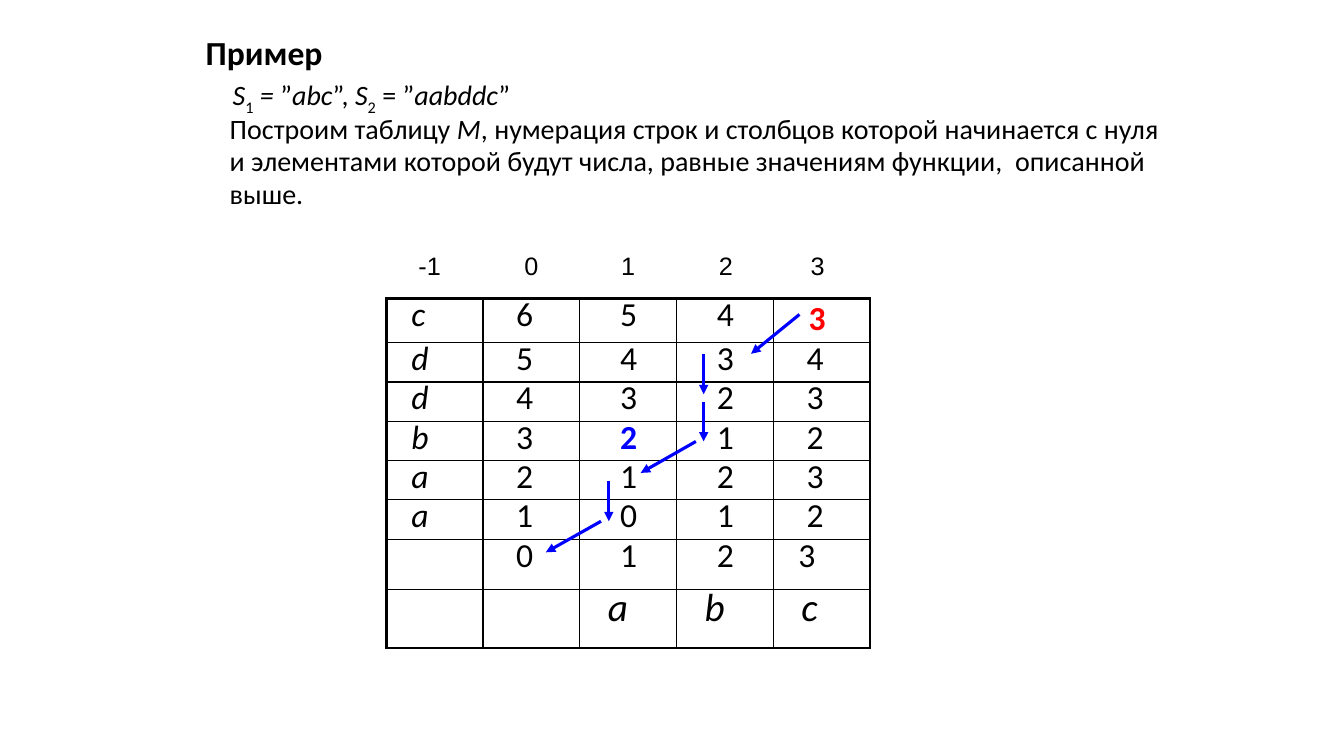
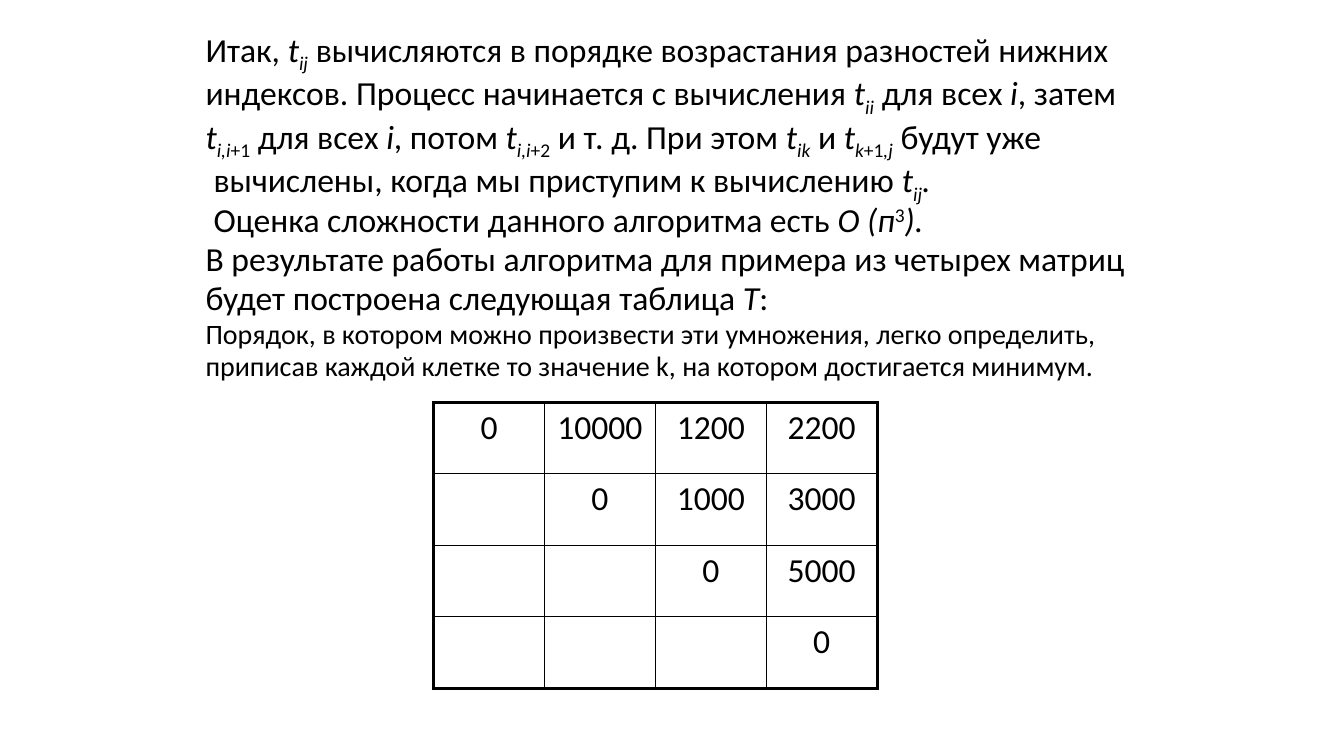
import pptx
import pptx.util
import pptx.dml.color
import pptx.enum.shapes
import pptx.enum.text
import pptx.oxml.ns
from lxml import etree

# Shared style
FONT, BLACK, BLUE, RED = "Calibri", "000000", "0000FF", "FF0000"
THICK, THIN = 2.25, 1
LEFT, WIDE = 1.94, 9.45
INCH, PT = pptx.util.Inches, pptx.util.Pt
ALIGN = pptx.enum.text.PP_ALIGN

# Grid of the distance table
GRID_X, GRID_Y, COL, ROW = 3.83, 2.96, 0.96, 0.39
INSETS = [0.25, 0.33, 0.4, 0.4, 0.33]

INTRO = [
    "*S*_1_* = *”*abc*”, *S*_2_ = ”*aabddc*”",
    "Построим таблицу *M*, нумерация строк и столбцов которой начинается с нуля",
    "и элементами которой будут числа, равные значениям функции,  описанной",
    "выше.",
]
ORDER = [
    "Итак, *t_ij_* вычисляются в порядке возрастания разностей нижних",
    "индексов. Процесс начинается с вычисления *t_ii_* для всех *i*, затем",
    "*t_i,i*+1_ для всех *i*, потом *t_i,i*+2_ и т. д. При этом *t_ik_* и "
    "*t_k*+1*,j*_ будут уже",
    "вычислены, когда мы приступим к вычислению *t_ij_.*",
    "Оценка сложности данного алгоритма есть *О (п*^3^*).*",
    "В результате работы алгоритма для примера из четырех матриц",
    "будет построена следующая таблица *T*:",
]
NOTE = [
    "Порядок, в котором можно произвести эти умножения, легко определить,",
    "приписав каждой клетке то значение k, на котором достигается минимум.",
]
COSTS = ["c6543", "d5434", "d4323", "b3212", "a2123", "a1012", " 0123", "  abc"]
PRODUCTS = [
    ["0", "10000", "1200", "2200"],
    ["", "0", "1000", "3000"],
    ["", "", "0", "5000"],
    ["", "", "", "0"],
]
# Arrow ends in columns and rows of the grid
STEPS = [
    (4.27, 0.41, 3.77, 1.41),
    (3.28, 1.41, 3.28, 2.44),
    (3.28, 2.64, 3.28, 3.64),
    (3.2, 3.64, 2.63, 4.44),
    (2.3, 4.64, 2.3, 5.67),
    (2.22, 5.67, 1.65, 6.46),
]


def paint(hue):
    return pptx.dml.color.RGBColor.from_string(hue)


def style(font, size, hue=BLACK, bold=False, slant=False, face=FONT):
    font.name, font.size, font.bold, font.italic = face, PT(size), bold, slant
    font.color.rgb = paint(hue)


def add_el(host, tag, **attrs):
    return etree.SubElement(host, pptx.oxml.ns.qn(tag), attrs)


def mark_up(para, text, size):
    """Write text where * toggles italic, _ subscript and ^ superscript."""
    shift = {"_": "-25000", "^": "30000"}
    live, part = set(), ""
    for char in text + "\0":
        if char not in "*_^\0":
            part += char
            continue
        if part:
            run = para.add_run()
            run.text = part
            style(run.font, size, slant="*" in live)
            for key in live & set(shift):
                run._r.get_or_add_rPr().set("baseline", shift[key])
        live ^= {char}
        part = ""


def add_box(slide, x, y, w, h):
    frame = slide.shapes.add_textbox(INCH(x), INCH(y), INCH(w), INCH(h)).text_frame
    frame.word_wrap = True
    return frame


def add_body(frame, lines, size, dents):
    """Add tight paragraphs; dents maps a line number to its indent."""
    for i, line in enumerate(lines):
        first = not frame.paragraphs[0].runs
        para = frame.paragraphs[0] if first else frame.add_paragraph()
        if i in dents:
            para._p.get_or_add_pPr().set("indent", str(INCH(dents[i])))
        para.line_spacing = 0.8
        para.space_before = PT(0 if first else size * 0.2)
        mark_up(para, line, size)


def add_edges(cell, row, col, rows, cols):
    props = cell._tc.get_or_add_tcPr()
    outer = {"L": col == 0, "R": col == cols - 1, "T": row == 0, "B": row == rows - 1}
    for side, thick in outer.items():
        width = PT(THICK if thick else THIN)
        line = add_el(props, "a:ln" + side, w=str(width))
        add_el(add_el(line, "a:solidFill"), "a:srgbClr", val=BLACK)
    cell.fill.background()


def add_grid(slide, x, y, widths, heights, data, form):
    """Add a framed table; form(cell, row, col) styles each filled cell."""
    rows, cols = len(heights), len(widths)
    table = slide.shapes.add_table(
        rows, cols, INCH(x), INCH(y), INCH(sum(widths)), INCH(sum(heights))).table
    table.first_row = table.horz_banding = False
    for item, width in zip(table.columns, widths):
        item.width = INCH(width)
    for item, height in zip(table.rows, heights):
        item.height = INCH(height)
    for row, texts in enumerate(data):
        for col, text in enumerate(texts):
            cell = table.cell(row, col)
            add_edges(cell, row, col, rows, cols)
            if text.strip():
                cell.text_frame.text = text
                form(cell, row, col)


def form_cost(cell, row, col):
    last = row == len(COSTS) - 1
    hue = {(0, 4): RED, (3, 2): BLUE}.get((row, col), BLACK)
    cell.margin_left = INCH(0.28 if last else INSETS[col])
    if hue == RED:
        cell.margin_left, cell.margin_top = INCH(0.35), INCH(0.09)
    if (row, col) == (6, 4):
        cell.margin_left = INCH(0.25)
    para = cell.text_frame.paragraphs[0]
    para.line_spacing = 0.7
    style(para.runs[0].font, 28 if last else 24, hue, hue != BLACK, last or col == 0)


def form_product(cell, row, col):
    para = cell.text_frame.paragraphs[0]
    para.alignment = ALIGN.CENTER
    style(para.runs[0].font, 24)


def add_arrow(slide, x1, y1, x2, y2):
    ends = [INCH(GRID_X + x1 * COL), INCH(GRID_Y + y1 * ROW),
            INCH(GRID_X + x2 * COL), INCH(GRID_Y + y2 * ROW)]
    arrow = slide.shapes.add_connector(pptx.enum.shapes.MSO_CONNECTOR.STRAIGHT, *ends)
    arrow.line.color.rgb = paint(BLUE)
    arrow.line.width = PT(THICK)
    add_el(arrow.line._get_or_add_ln(), "a:tailEnd", type="triangle")
    add_el(arrow._element.spPr, "a:effectLst")


def add_title(slide, text):
    title = slide.shapes.title
    title.left, title.top = INCH(LEFT), INCH(0)
    title.width, title.height = INCH(9), INCH(1.04)
    frame = title.text_frame
    frame.text = text
    frame.vertical_anchor = pptx.enum.text.MSO_ANCHOR.MIDDLE
    frame.paragraphs[0].alignment = ALIGN.LEFT
    style(frame.paragraphs[0].runs[0].font, 24, bold=True)


def add_heads(slide):
    """Number the columns above the grid, set on tab stops."""
    frame = add_box(slide, GRID_X, 2.49, 5.2, 0.34)
    frame.margin_left = INCH(0.32)
    para = frame.paragraphs[0]
    para.text = "-1\t0\t1\t2\t3"
    para.line_spacing = 0.8
    tabs = add_el(para._p.get_or_add_pPr(), "a:tabLst")
    for stop in (1.05, 2.01, 2.98, 3.89):
        add_el(tabs, "a:tab", pos=str(INCH(stop)), algn="l")
    for run in para.runs:
        style(run.font, 18, face="Arial")


def add_example(deck):
    slide = deck.slides.add_slide(deck.slide_layouts[5])
    add_title(slide, "Пример")
    add_body(add_box(slide, 2.18, 0.76, WIDE, 1.58), INTRO, 20, {0: 0.03})
    heights = [0.44] + [ROW] * 5 + [0.5, 0.58]
    add_grid(slide, GRID_X, GRID_Y, [COL] * 5, heights, COSTS, form_cost)
    add_heads(slide)
    for step in STEPS:
        add_arrow(slide, *step)


def add_result(deck):
    slide = deck.slides.add_slide(deck.slide_layouts[6])
    frame = add_box(slide, LEFT, 0.28, WIDE, 3.54)
    add_body(frame, ORDER, 24, {3: 0.08, 4: 0.08})
    add_body(frame, NOTE, 20, {})
    add_grid(slide, 4.3, 3.99, [1.1] * 4, [0.71] * 4, PRODUCTS, form_product)


def main():
    deck = pptx.Presentation()
    deck.slide_width, deck.slide_height = INCH(13.33), INCH(7.5)
    add_example(deck)
    add_result(deck)
    deck.save("out.pptx")


if __name__ == "__main__":
    main()
